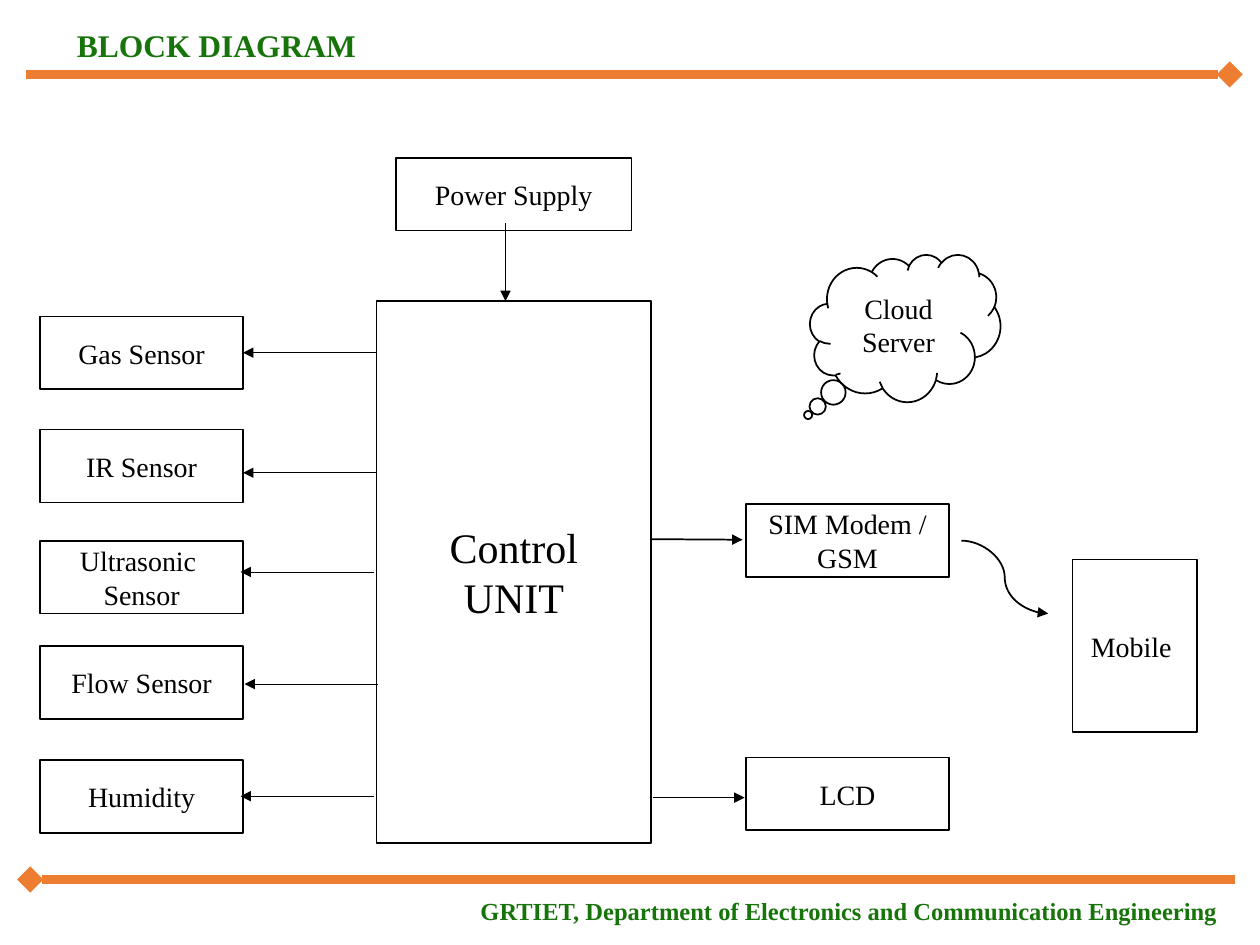
from pptx import Presentation
from pptx.util import Cm, Pt
from pptx.dml.color import RGBColor
from pptx.enum.shapes import MSO_CONNECTOR, MSO_SHAPE
from pptx.enum.text import MSO_ANCHOR, PP_ALIGN
from pptx.oxml.ns import qn
from lxml.etree import SubElement


def style(frame, size, color, align, bold=False):
    frame.word_wrap = True
    for para in frame.paragraphs:
        para.alignment = align
        for run in para.runs:
            run.font.name = "Times New Roman"
            run.font.size = Pt(size)
            run.font.bold = bold
            run.font.color.rgb = RGBColor.from_string(color)


def link(x1, y1, x2, y2, width=1, color="000000", head=None, tail="triangle",
         kind=MSO_CONNECTOR.STRAIGHT):
    """Draw a connector; head marks its start and tail its end."""
    line = slide.shapes.add_connector(kind, Cm(x1), Cm(y1), Cm(x2), Cm(y2))
    line.line.width = Pt(width)
    line.line.color.rgb = RGBColor.from_string(color)
    ln = line.line._get_or_add_ln()
    for tag, shape in (("a:headEnd", head), ("a:tailEnd", tail)):
        if shape:
            SubElement(ln, qn(tag), type=shape)
    SubElement(line._element.spPr, qn("a:effectLst"))


deck = Presentation()
deck.slide_width, deck.slide_height = Cm(25.4), Cm(19.05)
slide = deck.slides.add_slide(deck.slide_layouts[6])

# Title and footer with their rules
green, orange = "17740A", "ED7D31"
for text, x, y, w, h, size, align in (
    ("BLOCK DIAGRAM", 1.3, 0.41, 21.13, 1.02, 18, PP_ALIGN.LEFT),
    ("GRTIET, Department of Electronics and Communication Engineering",
     1.3, 17.93, 23.5, 0.86, 14, PP_ALIGN.RIGHT),
):
    box = slide.shapes.add_textbox(Cm(x), Cm(y), Cm(w), Cm(h))
    box.text_frame.text = text
    style(box.text_frame, size, green, align, True)
link(0.53, 1.5, 24.79, 1.5, 5, orange, tail="diamond")
link(0.61, 17.73, 24.89, 17.73, 5, orange, head="diamond", tail=None)

# Blocks
wide, high = 4.09, 1.47
sensors = (
    ("Gas Sensor", 6.38), ("IR Sensor", 8.66), ("Ultrasonic \nSensor", 10.9),
    ("Flow Sensor", 13.03), ("Humidity", 15.32),
)
rect = MSO_SHAPE.RECTANGLE
blocks = [(rect, name, 0.81, y, wide, high, 16) for name, y in sensors]
blocks += [
    (rect, "Control\nUNIT", 7.59, 6.07, 5.54, 10.92, 24),
    (rect, "SIM Modem / GSM", 15.04, 10.16, wide, high, 16),
    (rect, "LCD", 15.04, 15.27, wide, high, 16),
    (rect, "Power Supply", 7.98, 3.18, 4.75, high, 16),
    (rect, "Mobile ", 21.62, 11.28, 2.51, 3.48, 16),
    (MSO_SHAPE.CLOUD_CALLOUT, "Cloud Server", 16.33, 5.13, 3.84, 2.97, 16),
]
for kind, text, x, y, w, h, size in blocks:
    block = slide.shapes.add_shape(kind, Cm(x), Cm(y), Cm(w), Cm(h))
    block.shadow.inherit = False
    block.fill.background()
    block.line.color.rgb = RGBColor.from_string("000000")
    block.line.width = Pt(1)
    if kind == MSO_SHAPE.CLOUD_CALLOUT:
        block.adjustments[0], block.adjustments[1] = -0.51, 0.59
    block.text_frame.text = text
    block.text_frame.vertical_anchor = MSO_ANCHOR.MIDDLE
    style(block.text_frame, size, "000000", PP_ALIGN.CENTER)

# Arrows
for x, y in ((7.59, 7.11), (7.59, 9.53), (7.54, 11.53), (7.62, 13.79), (7.54, 16.05)):
    link(x, y, x - 2.69, y, 0.5)
link(10.19, 4.5, 10.19, 6.07, 0.5)
link(13.12, 10.87, 14.97, 10.88)
link(13.16, 16.08, 15.01, 16.08)
link(19.38, 10.9, 21.13, 12.37, kind=MSO_CONNECTOR.CURVE)

deck.save("out.pptx")
